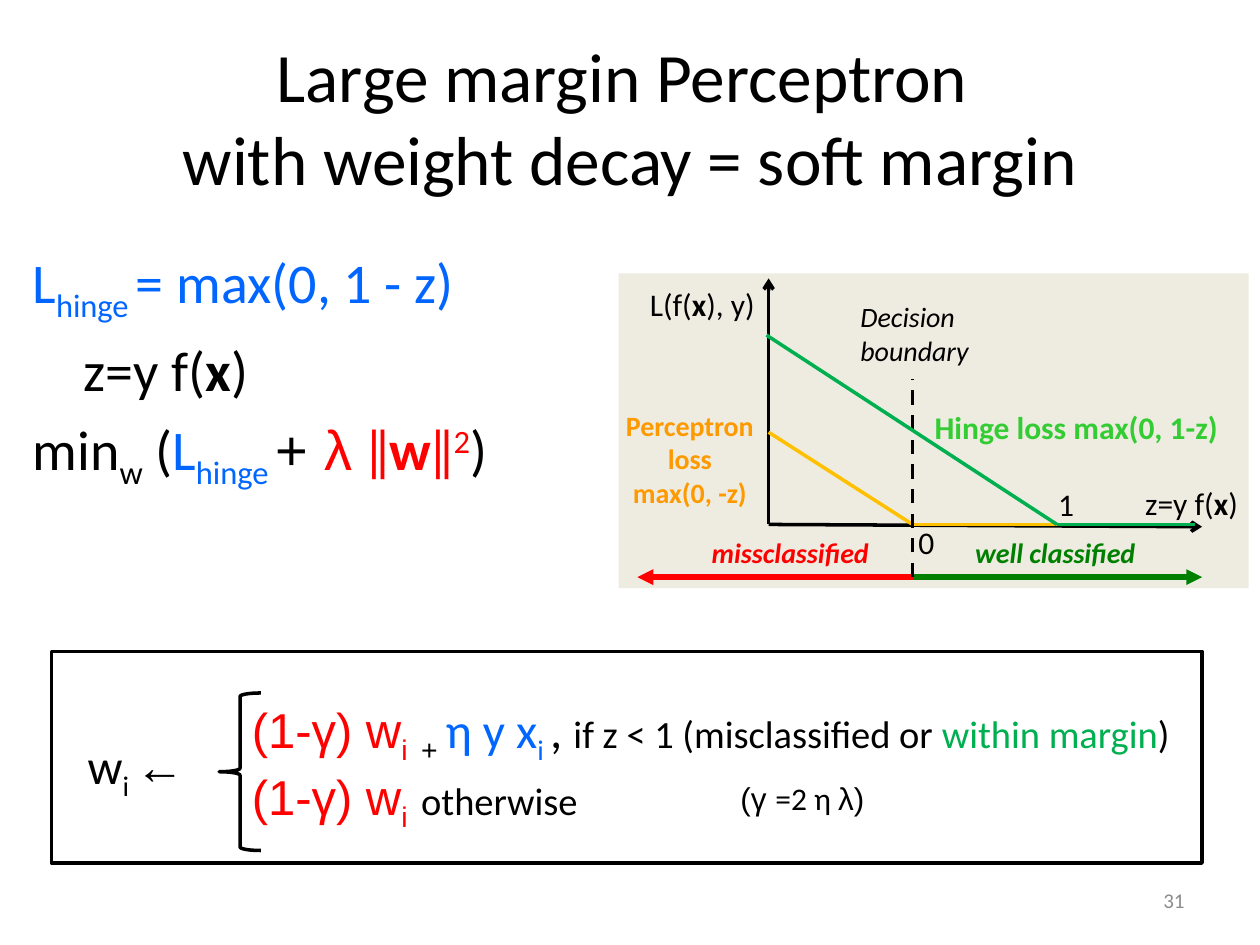
from lxml import etree
from pptx import Presentation
from pptx.dml.color import RGBColor
from pptx.enum.dml import MSO_LINE
from pptx.enum.shapes import MSO_CONNECTOR, MSO_SHAPE
from pptx.enum.text import MSO_ANCHOR, PP_ALIGN
from pptx.oxml.ns import qn
from pptx.util import Pt

DASH = MSO_LINE.DASH
LINE = MSO_CONNECTOR.STRAIGHT
RECT, BRACE = MSO_SHAPE.RECTANGLE, MSO_SHAPE.LEFT_BRACE
MID = MSO_ANCHOR.MIDDLE
LEFT, CENTER, RIGHT = PP_ALIGN.LEFT, PP_ALIGN.CENTER, PP_ALIGN.RIGHT
SANS, ARIAL = "Calibri", "Arial"
BLACK, RED, BLUE, GREEN = "000000", "FF0000", "0066FF", "00B050"
AMBER, WELL = "FFC000", "008000"

TITLE = [[("Large margin Perceptron \vwith weight decay = soft margin", BLACK, 39.6, SANS, "")]]

LOSS = [
    [("L", BLUE, 32, SANS, ""), ("hinge ", BLUE, 32, SANS, "_"),
     ("= max(0, 1 - z)", BLUE, 32, SANS, "")],
    [("z=y f(", BLACK, 32, SANS, ""), ("x", BLACK, 32, SANS, "b"),
     (")", BLACK, 32, SANS, "")],
    [("min", BLACK, 32, SANS, ""), ("w", BLACK, 32, SANS, "_"),
     (" (", BLACK, 32, SANS, ""), ("L", BLUE, 32, SANS, ""),
     ("hinge ", BLUE, 32, SANS, "_"), ("+ ", BLACK, 32, ARIAL, ""),
     ("λ ", RED, 32, ARIAL, ""), ("ǁ", RED, 32, SANS, ""),
     ("w", RED, 32, SANS, "b"), ("ǁ", RED, 32, SANS, ""),
     ("2", RED, 32, SANS, "^"), (")", BLACK, 32, SANS, "")],
]

DECAY = [("(1-γ) w", RED, 28, ARIAL, ""), ("i", RED, 28, ARIAL, "_"),
         (" ", RED, 28, ARIAL, "")]
RULE = [
    DECAY + [("+ ", BLACK, 28, ARIAL, "_"), ("η y x", BLUE, 28, SANS, ""),
             ("i ", BLUE, 28, SANS, "_"), (", ", BLACK, 28, SANS, ""),
             ("if z < 1 (misclassified or ", BLACK, 22, SANS, ""),
             ("within margin", GREEN, 22, SANS, ""), (")", BLACK, 22, SANS, "")],
    DECAY + [("otherwise", BLACK, 22, SANS, "")],
]
WEIGHT = [[("w", BLACK, 28, SANS, ""), ("i ", BLACK, 28, SANS, "_"),
           ("←", BLACK, 28, ARIAL, "")]]
GAMMA = [[("(γ ", BLACK, 18, ARIAL, ""), ("=2 η ", BLACK, 18, SANS, ""),
          ("λ)", BLACK, 18, ARIAL, "")]]


def vector(pre, post):
    return [[(pre, BLACK, 18, SANS, ""), ("x", BLACK, 18, SANS, "b"),
             (post, BLACK, 18, SANS, "")]]


def label(text, hue, size, marks=""):
    return [[(text, hue, size, SANS, marks)]]


SHAPES = [
    (BRACE, (125.3, 396, 23.8, 90), None, BLACK),
    (RECT, (29.5, 372.2, 657.4, 121), None, BLACK),
    (RECT, (353.5, 156.2, 360, 180), "EEECE1", None),
]

AXIS, ZERO, ONE, END = 439.2, 521.5, 604, 686.9
BASE, SPAN = 299.7, 329.8
LINES = [
    ((ZERO, SPAN), (END, SPAN), WELL, 3, "triangle", None),
    ((ZERO, SPAN), (364.3, SPAN), RED, 3, "triangle", None),
    ((AXIS, BASE), (AXIS, 159.1), BLACK, 2, "arrow", None),
    ((AXIS, BASE), (END, 301), BLACK, 2, "arrow", None),
    ((AXIS, 247), (ZERO, BASE), AMBER, 2, None, None),
    ((ZERO, BASE), (670, BASE), AMBER, 2, None, None),
    ((ZERO, SPAN), (ZERO, 216.7), BLACK, 2, None, DASH),
    ((438, 191.5), (ONE, BASE), GREEN, 2, None, None),
    ((ONE, BASE), (682.6, BASE), GREEN, 2, None, None),
]

TEXTS = [
    (LOSS, (11.5, 138.2, 330, 150), LEFT),
    (WEIGHT, (43, 416.8, 80, 42), LEFT),
    (RULE, (136.8, 396, 559.4, 97.2), LEFT),
    (GAMMA, (416, 441.4, 95, 29), LEFT),
    (vector("z=y f(", ")"), (647.3, 272.9, 72, 29), LEFT),
    (vector("L(f(", "), y)"), (364.3, 159.1, 86.4, 29), LEFT),
    (label("Decision boundary", BLACK, 16, "i"), (484.6, 167.8, 98.6, 46), LEFT),
    (label("well classified", WELL, 16, "bi"), (550.1, 302.4, 132.5, 26.6), LEFT),
    (label("missclassified", RED, 16, "bi"), (399.6, 302.4, 121.7, 26.6), LEFT),
    (label("Perceptron\vloss\vmax(0, -z)", "FF9900", 16, "b"),
     (349.2, 229.7, 90, 65.5), CENTER),
    (label("Hinge loss max(0, 1-z)", "33CC33", 18, "b"), (527, 229.7, 180, 29), LEFT),
    (label("0", BLACK, 18), (517.7, 295.2, 24, 29), LEFT),
    (label("1", BLACK, 18), (597.6, 273.6, 24, 29), LEFT),
    (label("31", "8C8C8C", 12), (516.2, 503.8, 167.8, 21), RIGHT),
]


def color(hue):
    return RGBColor.from_string(hue)


def write(shape, paras, align):
    frame = shape.text_frame
    frame.word_wrap = True
    for n, runs in enumerate(paras):
        para = frame.paragraphs[0] if n == 0 else frame.add_paragraph()
        para.alignment = align
        for text, hue, size, face, marks in runs:
            for k, part in enumerate(text.split("\v")):
                if k:
                    para.add_line_break()
                run = para.add_run()
                run.text = part
                font = run.font
                font.name, font.size = face, Pt(size)
                font.color.rgb = color(hue)
                font.bold, font.italic = "b" in marks, "i" in marks
                for mark, shift in (("_", "-25000"), ("^", "30000")):
                    if mark in marks:
                        run._r.get_or_add_rPr().set("baseline", shift)
    return frame


def draw(slide, kind, box, fill, edge):
    shape = slide.shapes.add_shape(kind, *map(Pt, box))
    shape.shadow.inherit = False
    if fill:
        shape.fill.solid()
        shape.fill.fore_color.rgb = color(fill)
    else:
        shape.fill.background()
    if edge:
        shape.line.color.rgb = color(edge)
        shape.line.width = Pt(2)
    else:
        shape.line.fill.background()


def link(slide, start, stop, hue, width, head, dash):
    wire = slide.shapes.add_connector(LINE, *map(Pt, start + stop))
    wire.line.color.rgb = color(hue)
    wire.line.width = Pt(width)
    if dash:
        wire.line.dash_style = dash
    if head:
        etree.SubElement(wire.line._get_or_add_ln(), qn("a:tailEnd"), type=head)
    etree.SubElement(wire._element.spPr, qn("a:effectLst"))


def main():
    deck = Presentation()
    deck.slide_width, deck.slide_height = Pt(720), Pt(540)
    slide = deck.slides.add_slide(deck.slide_layouts[5])
    title = slide.shapes.title
    title.left, title.top, title.width, title.height = map(Pt, (36, 21.6, 648, 90))
    write(title, TITLE, CENTER).vertical_anchor = MID
    for item in SHAPES:
        draw(slide, *item)
    for item in LINES:
        link(slide, *item)
    for paras, box, align in TEXTS:
        frame = write(slide.shapes.add_textbox(*map(Pt, box)), paras, align)
        if paras is LOSS:
            for para in frame.paragraphs[1:]:
                para.space_before = Pt(6.4)
            frame.paragraphs[1]._p.get_or_add_pPr().set("marL", str(Pt(29)))
    deck.save("out.pptx")


if __name__ == "__main__":
    main()
